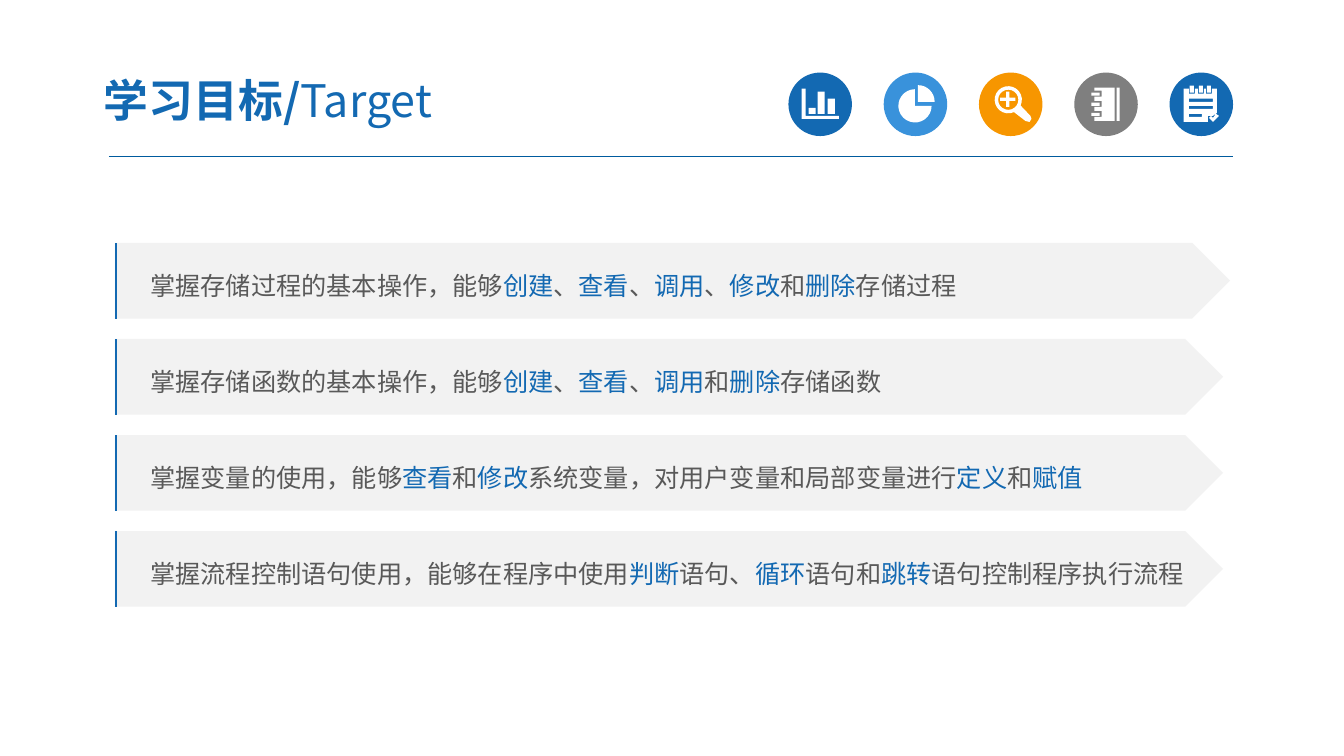
from dataclasses import dataclass
from math import cos, radians, sin

from lxml.etree import SubElement
from pptx import Presentation
from pptx.dml.color import RGBColor
from pptx.enum.shapes import MSO_CONNECTOR, MSO_SHAPE
from pptx.enum.text import MSO_ANCHOR, PP_ALIGN
from pptx.oxml.ns import qn
from pptx.util import Inches, Pt


@dataclass(frozen=True)
class Theme:
    font: str = "Noto Sans CJK SC"
    blue: str = "1369B2"
    sky: str = "3992DB"
    orange: str = "F79600"
    gray: str = "7F7F7F"
    white: str = "FFFFFF"
    band: str = "F2F2F2"
    text: str = "595959"
    rule: str = "005B9E"
    title_size: int = 32
    body_size: int = 18


THEME = Theme()
ICON_SIZE = 0.63
ICON_STEP = 0.945
GOAL_STEP = 0.953
GOAL_HEIGHT = 0.75

GOALS = [
    (11.06, "掌握存储过程的基本操作，能够|创建|、|查看|、|调用|、|修改|和|删除|存储过程"),
    (10.99, "掌握存储函数的基本操作，能够|创建|、|查看|、|调用|和|删除|存储函数"),
    (10.99, "掌握变量的使用，能够|查看|和|修改|系统变量，对用户变量和局部变量进行|定义|和|赋值"),
    (10.99, "掌握流程控制语句使用，能够在程序中使用|判断|语句、|循环|语句和|跳转|语句控制程序执行流程"),
]


def paint(shape, color):
    shape.shadow.inherit = False
    shape.fill.solid()
    shape.fill.fore_color.rgb = RGBColor.from_string(color)
    shape.line.fill.background()
    return shape


def add_part(slide, geometry, left, top, width, height, color):
    box = (Inches(length) for length in (left, top, width, height))
    return paint(slide.shapes.add_shape(geometry, *box), color)


def style_line(shape, color, width):
    shape.line.color.rgb = RGBColor.from_string(color)
    shape.line.width = Pt(width)


def format_run(run, size, color, bold=False):
    font = run.font
    font.name = THEME.font
    font.size = Pt(size)
    font.bold = bold
    font.color.rgb = RGBColor.from_string(color)
    SubElement(run._r.get_or_add_rPr(), qn("a:ea")).set("typeface", THEME.font)


def bar(left, top, width, height):
    right, bottom = left + width, top + height
    return [(left, top), (right, top), (right, bottom), (left, bottom)]


def arc(x, y, radius, start, end, steps=20):
    angles = [radians(start + (end - start) * step / steps) for step in range(steps + 1)]
    return [(x + radius * cos(angle), y + radius * sin(angle)) for angle in angles]


def bar_chart_outlines():
    axes = [(0.13, 0.16), (0.17, 0.16), (0.17, 0.43), (0.5, 0.43), (0.5, 0.46), (0.13, 0.46)]
    columns = [(0.2, 0.06), (0.29, 0.22), (0.39, 0.15)]
    return [axes] + [bar(left, 0.41 - height, 0.07, height) for left, height in columns]


def pie_outlines():
    return [
        arc(0.31, 0.33, 0.165, 0, 270) + [(0.31, 0.33)],
        arc(0.34, 0.29, 0.165, 270, 360, 8) + [(0.34, 0.29)],
    ]


def magnifier_outlines():
    plus = [
        (0.21, 0.25), (0.27, 0.25), (0.27, 0.19), (0.3, 0.19), (0.3, 0.25), (0.36, 0.25),
        (0.36, 0.28), (0.3, 0.28), (0.3, 0.34), (0.27, 0.34), (0.27, 0.28), (0.21, 0.28),
    ]
    handle = [(0.51, 0.43), (0.52, 0.46), (0.5, 0.49), (0.46, 0.48)]
    return [arc(0.29, 0.27, 0.135, 65, 385) + handle, arc(0.29, 0.27, 0.1, 0, 360), plus]


def notebook_outlines():
    rings = (0.21, 0.31, 0.41)
    page = [(0.2, 0.15)]
    for y in rings:
        page += [(0.2, y - 0.03), (0.27, y - 0.03), (0.27, y + 0.03), (0.2, y + 0.03)]
    page += [(0.2, 0.48), (0.4, 0.48), (0.4, 0.15)]
    return [page, bar(0.42, 0.15, 0.03, 0.33)] + [bar(0.17, y - 0.01, 0.08, 0.03) for y in rings]


def checklist_outlines():
    rings = (0.22, 0.31, 0.39)
    page = [(0.14, 0.16)]
    for x in rings:
        page += [(x - 0.03, 0.16), (x - 0.03, 0.21), (x + 0.03, 0.21), (x + 0.03, 0.16)]
    page += [(0.47, 0.16), (0.47, 0.4), (0.43, 0.43), (0.38, 0.43), (0.38, 0.49), (0.14, 0.49)]
    tick = [(0.39, 0.45), (0.41, 0.43), (0.43, 0.45), (0.46, 0.41), (0.49, 0.43), (0.43, 0.49)]
    rows = [bar(0.19, y, width, 0.03) for y, width in [(0.26, 0.24), (0.33, 0.24), (0.41, 0.13)]]
    return [page, tick] + rows + [bar(x - 0.02, 0.13, 0.04, 0.07) for x in rings]


def draw_symbol(slide, left, top, outlines):
    contours = [[(Inches(left + x), Inches(top + y)) for x, y in outline] for outline in outlines]
    builder = slide.shapes.build_freeform(*contours[0][0])
    builder.add_line_segments(contours[0][1:])
    for contour in contours[1:]:
        builder.move_to(*contour[0])
        builder.add_line_segments(contour[1:])
    paint(builder.convert_to_shape(), THEME.white)


def draw_icons(slide, left, top):
    icons = [
        (THEME.blue, bar_chart_outlines()), (THEME.sky, pie_outlines()),
        (THEME.orange, magnifier_outlines()), (THEME.gray, notebook_outlines()),
        (THEME.blue, checklist_outlines()),
    ]
    for index, (color, outlines) in enumerate(icons):
        x = left + index * ICON_STEP
        add_part(slide, MSO_SHAPE.OVAL, x, top, ICON_SIZE, ICON_SIZE, color)
        draw_symbol(slide, x, top, outlines)


def draw_title(slide, left, top, width, height):
    box = slide.shapes.add_textbox(Inches(left), Inches(top), Inches(width), Inches(height))
    frame = box.text_frame
    frame.word_wrap = True
    frame.vertical_anchor = MSO_ANCHOR.MIDDLE
    frame.margin_left = frame.margin_right = Inches(0.14)
    frame.margin_top = frame.margin_bottom = Inches(0.07)
    for text, bold in [("学习目标/", True), ("Target", False)]:
        run = frame.paragraphs[0].add_run()
        run.text = text
        format_run(run, THEME.title_size, THEME.blue, bold)


def draw_rule(slide, left, top, width):
    y = Inches(top)
    rule = slide.shapes.add_connector(
        MSO_CONNECTOR.STRAIGHT, Inches(left), y, Inches(left + width), y)
    style_line(rule, THEME.rule, 0.75)
    SubElement(rule._element.spPr, qn("a:effectLst"))


def draw_edge(slide, left, top, width, height):
    x, y = Inches(left), Inches(top)
    builder = slide.shapes.build_freeform(x, y + Inches(height))
    builder.add_line_segments([(x, y)], close=False)
    builder.move_to(x + Inches(width), y)
    edge = builder.convert_to_shape()
    edge.shadow.inherit = False
    edge.fill.background()
    style_line(edge, THEME.blue, 1.5)


def draw_goal(slide, left, top, width, height, text):
    band = add_part(slide, MSO_SHAPE.PENTAGON, left, top, width, height, THEME.band)
    frame = band.text_frame
    frame.word_wrap = True
    frame.vertical_anchor = MSO_ANCHOR.MIDDLE
    frame.margin_left, frame.margin_right = Inches(0.35), Inches(0)
    frame.margin_top, frame.margin_bottom = Inches(0.08), Inches(0.05)
    paragraph = frame.paragraphs[0]
    paragraph.alignment = PP_ALIGN.LEFT
    paragraph.line_spacing = 1.2
    for index, phrase in enumerate(text.split("|")):
        run = paragraph.add_run()
        run.text = phrase
        format_run(run, THEME.body_size, THEME.blue if index % 2 else THEME.text)
    draw_edge(slide, left + 0.01, top, 0.17, height)


def main():
    presentation = Presentation()
    presentation.slide_width, presentation.slide_height = Inches(13.33), Inches(7.5)
    slide = presentation.slides.add_slide(presentation.slide_layouts[6])
    draw_rule(slide, 1.08, 1.55, 11.15)
    draw_icons(slide, 7.82, 0.72)
    draw_title(slide, 0.89, 0.63, 5.22, 0.72)
    for index, (width, text) in enumerate(GOALS):
        draw_goal(slide, 1.14, 2.41 + index * GOAL_STEP, width, GOAL_HEIGHT, text)
    presentation.save("out.pptx")


if __name__ == "__main__":
    main()
